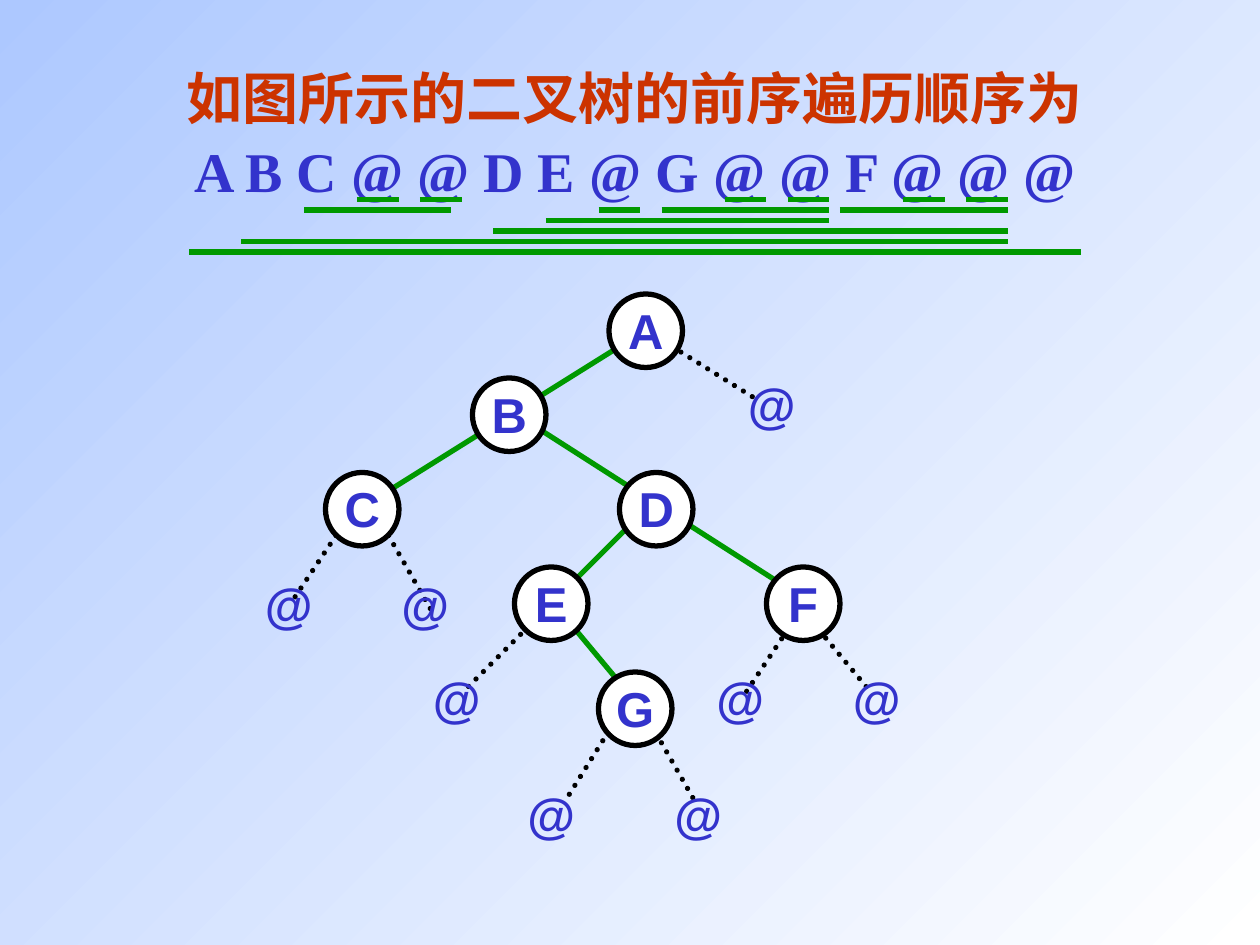
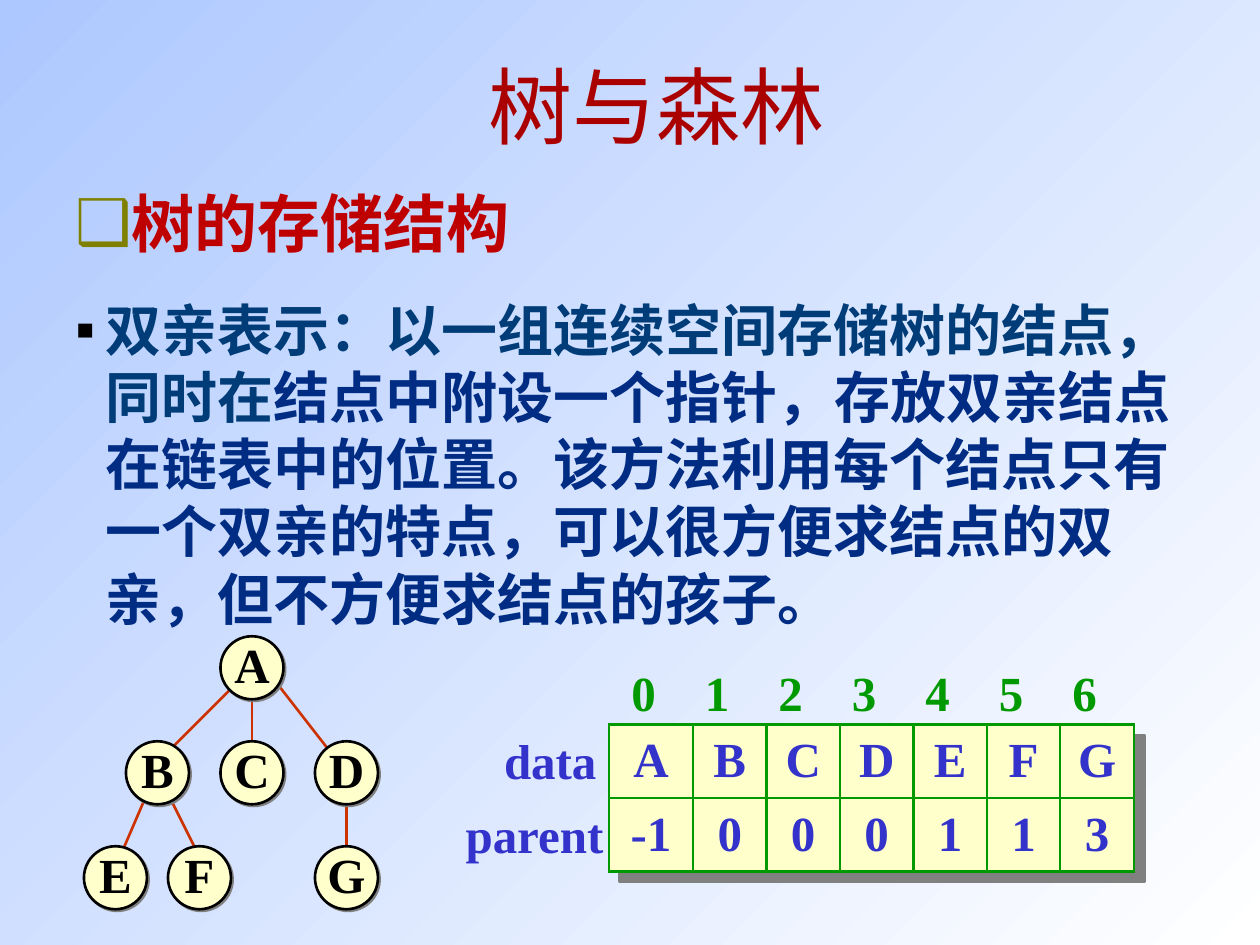
import lxml.etree
import pptx
import pptx.dml.color
import pptx.enum.dml
import pptx.enum.shapes
import pptx.enum.text
import pptx.oxml.ns
import pptx.util

COLORS = {
    "sky": "ADC8FF", "white": "FFFFFF", "black": "000000", "green": "009900",
    "blue": "3333CC", "orange": "CC3300", "title": "AA0000", "heading": "BE0000",
    "teal": "003C78", "navy": "002C84", "olive": "808000", "cream": "FFFFCC",
    "shadow": "808080",
}
SERIF, SANS, CJK = "Times New Roman", "Arial", "Noto Sans CJK SC"
GRID = 2.54 / 12
TITLE_ONLY = 5
ALIGN = pptx.enum.text.PP_ALIGN
MIDDLE = pptx.enum.text.MSO_ANCHOR.MIDDLE


def grid(n):
    return pptx.util.Cm(n * GRID)


def rgb(name):
    return pptx.dml.color.RGBColor.from_string(COLORS[name])


def sub(parent, tag, **attrs):
    e = lxml.etree.SubElement(parent, pptx.oxml.ns.qn(tag))
    for key, value in attrs.items():
        e.set(key, str(value))
    return e


def write(tf, text, size=28, font=SERIF, color="blue", bold=True, align=ALIGN.CENTER,
          spacing=None, before=0, bullet=None, bullet_color="black", join=False):
    p = tf.paragraphs[-1]
    if p.runs and not join:
        p = tf.add_paragraph()
    if bullet:
        ppr = p._p.get_or_add_pPr()
        hang = pptx.util.Cm(0.61)
        ppr.set("marL", str(hang))
        ppr.set("indent", str(-hang))
        ppr.set("hangingPunct", "0")
        sub(sub(ppr, "a:buClr"), "a:srgbClr", val=COLORS[bullet_color])
        sub(ppr, "a:buFont", typeface=SANS)
        sub(ppr, "a:buChar", char=bullet)
    if not join:
        p.alignment = align
        p.space_before = pptx.util.Pt(before)
        if spacing:
            p.line_spacing = pptx.util.Pt(spacing)
    r = p.add_run()
    r.text = text
    r.font.size = pptx.util.Pt(size)
    r.font.name = font
    r.font.bold = bold
    r.font.color.rgb = rgb(color)
    sub(r._r.get_or_add_rPr(), "a:ea", typeface=CJK)


def text_box(s, x, y, w, h, anchor=MIDDLE, wrap=True):
    tf = s.shapes.add_textbox(grid(x), grid(y), grid(w), grid(h)).text_frame
    tf.word_wrap = wrap
    tf.vertical_anchor = anchor
    return tf


def place_title(s, x, y, w, h):
    sp = s.shapes.title
    sp.left, sp.top, sp.width, sp.height = grid(x), grid(y), grid(w), grid(h)
    tf = sp.text_frame
    tf.auto_size = pptx.enum.text.MSO_AUTO_SIZE.NONE
    tf.vertical_anchor = MIDDLE
    return tf


def line(s, x1, y1, x2, y2, color="green", width=3, dotted=False):
    c = s.shapes.add_connector(pptx.enum.shapes.MSO_CONNECTOR.STRAIGHT,
                               grid(x1), grid(y1), grid(x2), grid(y2))
    c.line.color.rgb = rgb(color)
    c.line.width = pptx.util.Pt(width)
    if dotted:
        c.line.dash_style = pptx.enum.dml.MSO_LINE.ROUND_DOT
        c.line._get_or_add_ln().set("cap", "rnd")
    sub(c._element.spPr, "a:effectLst")


def shape(s, kind, x, y, w, h, fill, outline, width, shadow=0):
    sp = s.shapes.add_shape(kind, grid(x), grid(y), grid(w), grid(h))
    sp.shadow.inherit = False
    sp.fill.solid()
    sp.fill.fore_color.rgb = rgb(fill)
    sp.line.color.rgb = rgb(outline)
    sp.line.width = pptx.util.Pt(width)
    if shadow:
        effects = sp._element.spPr.find(pptx.oxml.ns.qn("a:effectLst"))
        outer = sub(effects, "a:outerShdw", dist=pptx.util.Pt(shadow),
                    dir=2700000, algn="ctr", rotWithShape=0)
        sub(outer, "a:srgbClr", val=COLORS["shadow"])
    return sp


def node(s, label, x, y, size, fill, width, shadow=0, lift=0, **fmt):
    sp = shape(s, pptx.enum.shapes.MSO_SHAPE.OVAL, x, y, size, size,
               fill, "black", width, shadow)
    tf = sp.text_frame
    tf.margin_left = tf.margin_right = tf.margin_top = 0
    tf.margin_bottom = grid(lift)
    tf.word_wrap = False
    tf.vertical_anchor = MIDDLE
    write(tf, label, **fmt)


def edges(s, x, y, ends, **fmt):
    for x1, y1, x2, y2 in ends:
        line(s, x + x1, y + y1, x + x2, y + y2, **fmt)


def binary_tree(s, x, y):
    edges(s, x, y, [(27, 31, 20, 38), (35, 40, 30, 48), (38, 41, 42, 48),
                    (8, 23, 4, 29), (13, 23, 17, 30), (54, 32, 59, 38),
                    (40, 5, 48, 10), (51, 32, 47, 38)], color="black", dotted=True)
    edges(s, x, y, [(30, 31, 35, 37), (36, 22, 29, 29),
                    (26, 12, 51, 28), (35, 5, 11, 20)])
    nodes = {"A": (34, 0), "B": (21, 8), "C": (7, 17), "D": (35, 17),
             "E": (25, 26), "F": (49, 26), "G": (33, 36)}
    for label, (nx, ny) in nodes.items():
        node(s, label, x + nx, y + ny, 7, "white", 3, lift=0.2, font=SANS)
    empties = [(0, 26), (13, 26), (16, 35), (25, 46), (39, 46), (43, 35), (56, 35), (46, 7)]
    for ex, ey in empties:
        write(text_box(s, x + ex, y + ey, 7, 7), "@", font=SANS)


def subtree_underlines(s, x, y):
    levels = [
        [(16, 20), (22, 26), (51, 55), (57, 61), (68, 72), (74, 78)],
        [(11, 25), (39, 43), (45, 61), (62, 78)],
        [(34, 61)],
        [(29, 78)],
        [(5, 78)],
        [(0, 85)],
    ]
    for level, spans in enumerate(levels):
        edges(s, x, y, [(start, level, end, level) for start, end in spans])


def traversal_slide(prs):
    s = prs.slides.add_slide(prs.slide_layouts[TITLE_ONLY])
    tf = place_title(s, 13, 4.7, 95, 15.4)
    write(tf, "如图所示的二叉树的前序遍历顺序为", size=32, color="orange", spacing=42)
    write(tf, "A B C @ @ D E @ G @ @ F @ @ @", size=32, spacing=42)
    binary_tree(s, 24, 28)
    subtree_underlines(s, 18, 19)


def storage_text(s, x, y, w, h):
    tf = text_box(s, x, y, w, h, pptx.enum.text.MSO_ANCHOR.TOP)
    write(tf, "树的存储结构", size=36, font=CJK, color="heading", align=ALIGN.LEFT,
          spacing=43.2, bullet="❑", bullet_color="olive")
    write(tf, "双亲表示：以一组连续空间存储树的结点，同时在", size=32, font=CJK,
          color="teal", align=ALIGN.LEFT, spacing=38.4, before=20, bullet="▪")
    write(tf, "结点中附设一个指针，存放双亲结点在链表中的位置。该方法利用每个结点只有"
              "一个双亲的特点，可以很方便求结点的双亲，但不方便求结点的孩子。",
          size=32, color="navy", join=True)


def general_tree(s, x, y):
    edges(s, x, y, [(25, 15, 25, 22), (18, 4, 25, 13), (8, 15, 11, 21),
                    (6, 15, 3, 22), (14, 5, 8, 11), (16, 5, 16, 11)],
          color="orange", width=1.5)
    rows = [{"A": 13}, {"B": 4, "C": 13, "D": 22}, {"E": 0, "F": 8, "G": 22}]
    for level, row in enumerate(rows):
        for label, nx in row.items():
            node(s, label, x + nx, y + 10 * level, 6, "cream", 1.5,
                 shadow=1.4, lift=0.8, color="black")


def format_cell(cell):
    tcpr = cell._tc.get_or_add_tcPr()
    for side in ("L", "R", "T", "B"):
        ln = sub(tcpr, f"a:ln{side}", w=pptx.util.Pt(1.5))
        sub(sub(ln, "a:solidFill"), "a:srgbClr", val=COLORS["green"])
    cell.fill.solid()
    cell.fill.fore_color.rgb = rgb("cream")
    cell.margin_left = cell.margin_right = cell.margin_top = cell.margin_bottom = 0
    cell.vertical_anchor = MIDDLE


def parent_table(s, x, y):
    rows = {"data": ["A", "B", "C", "D", "E", "F", "G"],
            "parent": ["-1", "0", "0", "0", "1", "1", "3"]}
    label_boxes = {"data": (-11.2, 11.2), "parent": (-14.9, 15.6)}
    count, side, first = 7, 7, 8
    width, height = first + side * (count - 1), side * len(rows)
    shape(s, pptx.enum.shapes.MSO_SHAPE.RECTANGLE, x, y, width, height,
          "cream", "green", 1.5, shadow=8.5)
    table = s.shapes.add_table(len(rows), count, grid(x), grid(y),
                               grid(width), grid(height)).table
    table.first_row = table.horz_banding = False
    for i, column in enumerate(table.columns):
        column.width = grid(side if i else first)
        write(text_box(s, x + side * i - 0.2, y - 6.5, side, 6.8), str(i), color="green")
    for j, (label, values) in enumerate(rows.items()):
        dx, w = label_boxes[label]
        write(text_box(s, x + dx, y + side * j, w, 6.8, wrap=False), label)
        table.rows[j].height = grid(side)
        for i, value in enumerate(values):
            cell = table.cell(j, i)
            format_cell(cell)
            write(cell.text_frame, value)


def storage_slide(prs):
    s = prs.slides.add_slide(prs.slide_layouts[TITLE_ONLY])
    storage_text(s, 6, 17, 107, 43.8)
    write(place_title(s, 43, 6, 39, 8), "树与森林", size=48, color="title", bold=False)
    general_tree(s, 8, 60.6)
    parent_table(s, 58, 69)


def set_background(master):
    fill = master.background.fill
    fill.gradient()
    fill.gradient_angle = 315
    for stop, name, position in zip(fill.gradient_stops, ("sky", "white"), (0, 1)):
        stop.color.rgb = rgb(name)
        stop.position = position


def main():
    prs = pptx.Presentation()
    prs.slide_width, prs.slide_height = pptx.util.Cm(25.4), pptx.util.Cm(19.05)
    set_background(prs.slide_master)
    traversal_slide(prs)
    storage_slide(prs)
    prs.save("out.pptx")


if __name__ == "__main__":
    main()
